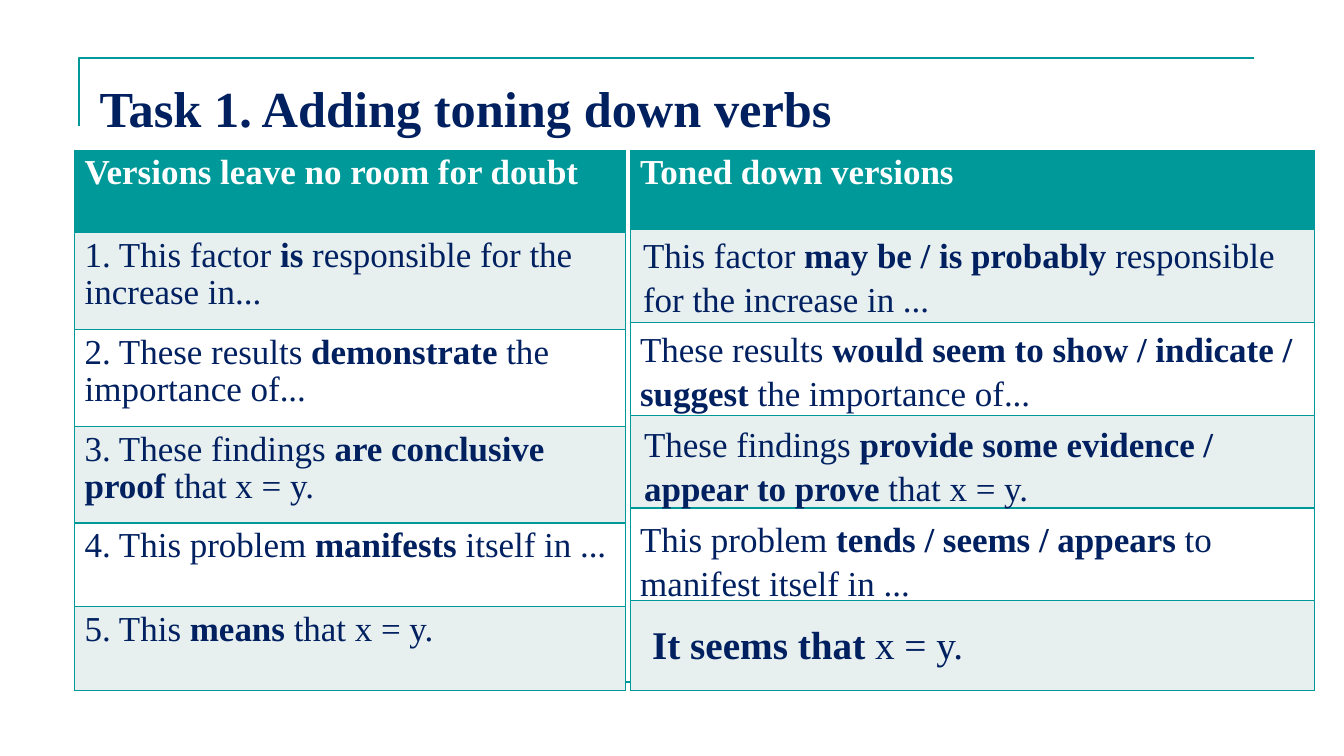
from pptx import Presentation
from pptx.dml.color import RGBColor
from pptx.enum.shapes import MSO_CONNECTOR
from pptx.enum.text import MSO_ANCHOR
from pptx.oxml import parse_xml
from pptx.oxml.ns import nsdecls
from pptx.util import Inches, Pt
from lxml import etree

TEAL = RGBColor(0x00, 0x99, 0x99)
NAVY = RGBColor(0x00, 0x20, 0x60)
PALE = RGBColor(0xE7, 0xEF, 0xEF)
WHITE = RGBColor(0xFF, 0xFF, 0xFF)
FONT = "Times New Roman"

STRONG = [
    "*Versions leave no room for doubt*",
    "1. This factor *is* responsible for the increase in...",
    "2. These results *demonstrate* the importance of...",
    "3. These findings *are conclusive proof *that x = y.",
    "4. This problem *manifests* itself in ...",
    "5. This *means* that x = y.",
]
TONED = [
    (6.28, 2.25, 6.52, 0.94, "This factor *may be / is probably *responsible for the increase in ..."),
    (6.25, 3.18, 7.09, 1.28, "These results *would seem to show / indicate / suggest *the importance of..."),
    (6.29, 4.12, 6.79, 0.94, "These findings *provide some evidence / appear to prove *that x = y."),
    (6.25, 5.06, 6.52, 0.94, "This problem *tends / seems / appears *to manifest itself in ..."),
]


def write(tf, text, size=25, color=NAVY, spacing=1.05):
    """Fill a text frame, with the parts between asterisks in bold."""
    p = tf.paragraphs[0]
    p.line_spacing = spacing
    p.font.name, p.font.size, p.font.color.rgb = FONT, Pt(size), color
    for i, part in enumerate(text.split("*")):
        if part:
            r = p.add_run()
            r.text = part
            r.font.bold = i % 2 == 1


def add_text(s, x, y, w, h, text, size=25, spacing=1.05, wrap=True):
    """Add a text box and return its text frame."""
    tf = s.shapes.add_textbox(Inches(x), Inches(y), Inches(w), Inches(h)).text_frame
    tf.word_wrap = wrap
    tf.vertical_anchor = MSO_ANCHOR.TOP
    write(tf, text, size, spacing=spacing)
    return tf


def add_borders(cell):
    """Draw a thin teal line on each side of a cell."""
    tcPr = cell._tc.get_or_add_tcPr()
    for side in "LRTB":
        tcPr.append(parse_xml(
            f'<a:ln{side} {nsdecls("a")} w="{Pt(1)}"><a:solidFill>'
            f'<a:srgbClr val="{TEAL}"/></a:solidFill></a:ln{side}>'))


def add_column(s, x, width, heights, texts):
    """Add a one-column table with a teal header and banded rows."""
    table = s.shapes.add_table(len(heights), 1, Inches(x), Inches(1.49),
                               Inches(width), Inches(sum(heights))).table
    table.columns[0].width = Inches(width)
    for i, height in enumerate(heights):
        table.rows[i].height = Inches(height)
        cell = table.cell(i, 0)
        add_borders(cell)
        cell.fill.solid()
        cell.fill.fore_color.rgb = TEAL if i == 0 else PALE if i % 2 else WHITE
        if i < len(texts):
            write(cell.text_frame, texts[i], color=NAVY if i else WHITE, spacing=0.96)


def add_frame(s):
    """Draw the corner line above the title and the rule at the bottom."""
    builder = s.shapes.build_freeform(Inches(0.78), Inches(1.25))
    builder.add_line_segments([(Inches(0.78), Inches(0.58)),
                               (Inches(12.44), Inches(0.58))], close=False)
    corner = builder.convert_to_shape()
    corner.shadow.inherit = False
    corner.fill.background()
    rule = s.shapes.add_connector(MSO_CONNECTOR.STRAIGHT, Inches(0.78), Inches(6.77),
                                  Inches(12.44), Inches(6.77))
    etree.SubElement(rule._element.spPr,
                     "{http://schemas.openxmlformats.org/drawingml/2006/main}effectLst")
    for line in (corner.line, rule.line):
        line.color.rgb = TEAL
        line.width = Pt(1.5)


def main():
    """Build the slide and save it."""
    prs = Presentation()
    prs.slide_width, prs.slide_height = Inches(13.33), Inches(7.5)
    s = prs.slides.add_slide(prs.slide_layouts[6])
    add_frame(s)
    title = add_text(s, 0.89, 0.67, 11.44, 0.97, "*Task 1. Adding toning down verbs*", 36, 1)
    title.margin_top = Inches(0.1)
    add_column(s, 0.74, 5.46, [0.82] + [0.96] * 3 + [0.83] * 2, STRONG)
    add_column(s, 6.25, 6.79, [0.79] + [0.92] * 4 + [0.89], ["*Toned down versions*"])
    for box in TONED:
        add_text(s, *box)
    add_text(s, 6.37, 6.08, 3.42, 0.91, "*It seems that *x = y.", 28, wrap=False)
    prs.save("out.pptx")


if __name__ == "__main__":
    main()
